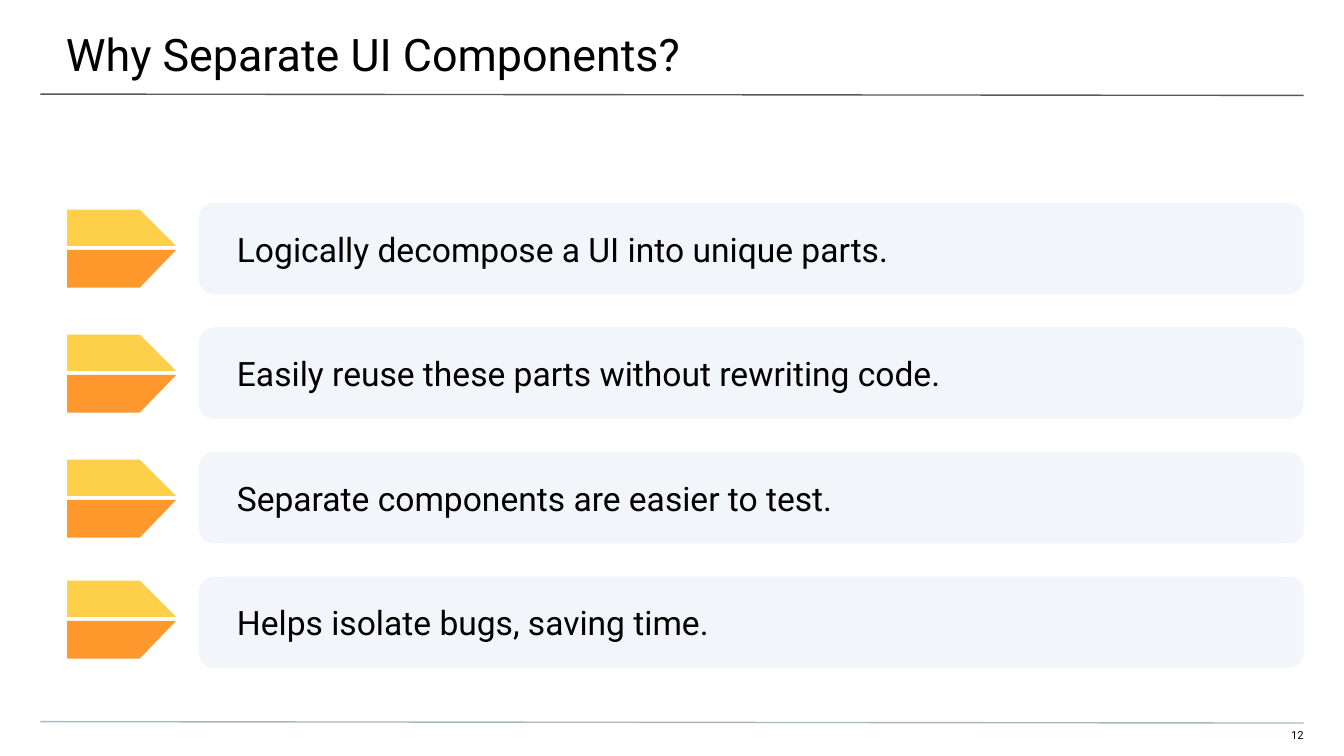
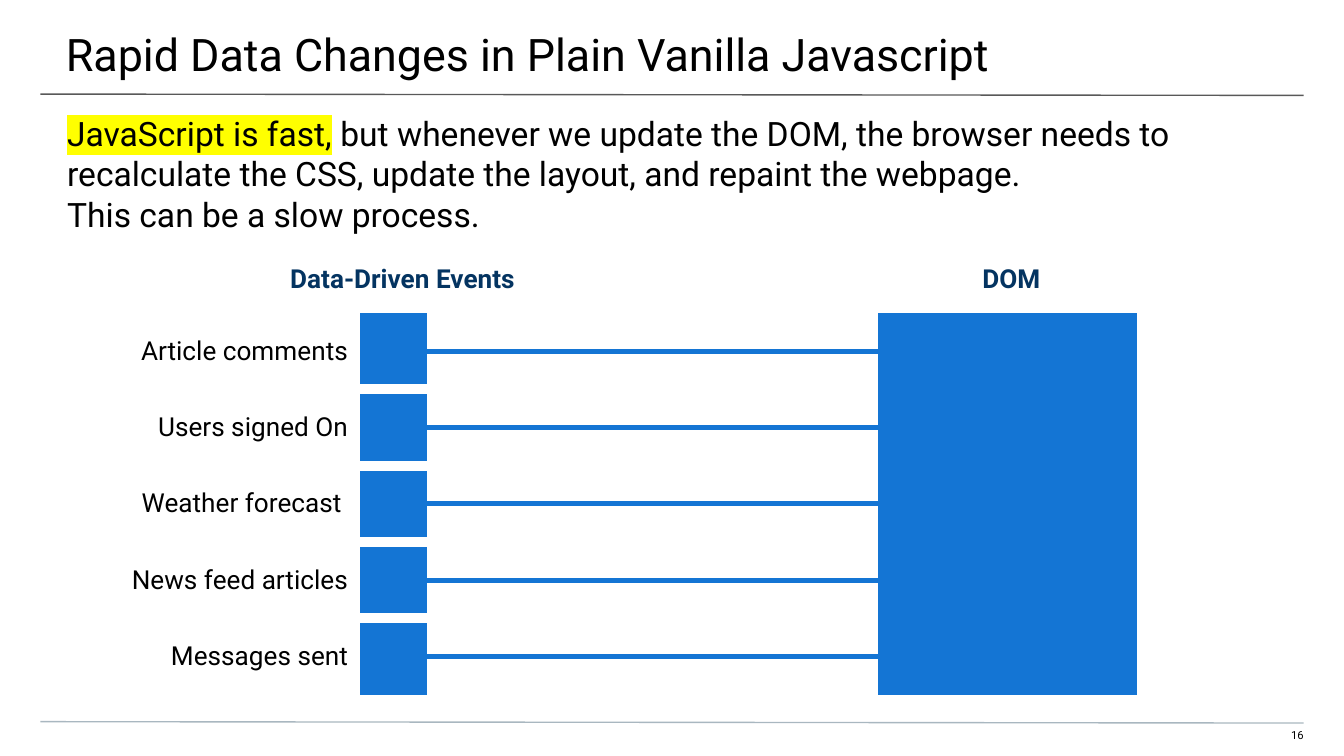
from dataclasses import dataclass

from lxml import etree
from pptx import Presentation
from pptx.dml.color import RGBColor
from pptx.enum.shapes import MSO_CONNECTOR, MSO_SHAPE
from pptx.enum.text import MSO_ANCHOR, MSO_AUTO_SIZE, PP_ALIGN
from pptx.oxml.ns import qn
from pptx.util import Inches, Pt

LEFT, CENTER, RIGHT = PP_ALIGN.LEFT, PP_ALIGN.CENTER, PP_ALIGN.RIGHT
TOP, MIDDLE = MSO_ANCHOR.TOP, MSO_ANCHOR.MIDDLE
TITLE_ONLY = 5
NO_GRID_STYLE = "{2D5ABB26-0587-4C30-8999-92F81FD0307C}"

# Content
REASONS_TITLE = "Why Separate UI Components?"
REASONS = [  # arrow top, text
    (1.56, "Logically decompose a UI into unique parts."),
    (2.49, "Easily reuse these parts without rewriting code."),
    (3.42, "Separate components are easier to test."),
    (4.32, "Helps isolate bugs, saving time."),
]
CHANGES_TITLE = "Rapid Data Changes in Plain Vanilla Javascript"
INTRO_KEY = "JavaScript is fast,"
INTRO_REST = (" but whenever we update the DOM, the browser needs to "
              "recalculate the CSS, update the layout, and repaint the webpage. ")
INTRO_END = "This can be a slow process."
HEADINGS = [("Data-Driven Events", 1.95, 2.09), ("DOM", 6.54, 1.97)]
EVENTS = ["Article comments", "Users signed On", "Weather forecast ",
          "News feed articles", "Messages sent"]


@dataclass(frozen=True)
class Theme:
    font: str = "Roboto"
    ink: str = "000000"
    paper: str = "FFFFFF"
    title_rule: str = "595959"
    footer_rule: str = "A9B7C0"
    arrow_top: str = "FECF48"
    arrow_bottom: str = "FF992D"
    bar: str = "F2F5F9"
    heading: str = "043461"
    diagram: str = "1475D4"
    highlight: str = "FFFF00"
    title_size: float = 24
    body_size: float = 18
    label_size: float = 14
    page_size: float = 6


THEME = Theme()


# Helpers
def add_run(paragraph, text, size, color=THEME.ink, bold=False):
    run = paragraph.add_run()
    run.text = text
    run.font.name = THEME.font
    run.font.size = Pt(size)
    run.font.bold = bold
    run.font.color.rgb = RGBColor.from_string(color)
    return run


def set_frame(shape, insets, anchor=TOP, align=LEFT):
    """Prepare the text frame and return its first paragraph."""
    frame = shape.text_frame
    frame.word_wrap = True
    frame.auto_size = MSO_AUTO_SIZE.NONE
    frame.vertical_anchor = anchor
    (frame.margin_left, frame.margin_top,
     frame.margin_right, frame.margin_bottom) = map(Inches, insets)
    frame.paragraphs[0].alignment = align
    return frame.paragraphs[0]


def add_text_box(slide, box, insets, align=LEFT):
    return set_frame(slide.shapes.add_textbox(*map(Inches, box)), insets, align=align)


def fill_plain(shape, color):
    shape.shadow.inherit = False
    shape.fill.solid()
    shape.fill.fore_color.rgb = RGBColor.from_string(color)
    shape.line.fill.background()


def add_rule(slide, y, color):
    rule = slide.shapes.add_connector(
        MSO_CONNECTOR.STRAIGHT, *map(Inches, (0.3, y, 9.7, y + 0.01)))
    rule.line.color.rgb = RGBColor.from_string(color)
    rule.line.width = Pt(0.75)
    etree.SubElement(rule._element.spPr, qn("a:effectLst"))


def add_base_slide(prs, title, page):
    slide = prs.slides.add_slide(prs.slide_layouts[TITLE_ONLY])
    add_rule(slide, 0.7, THEME.title_rule)
    add_rule(slide, 5.37, THEME.footer_rule)
    heading = slide.shapes.title
    heading.left, heading.top, heading.width, heading.height = map(
        Inches, (-0.01, 0, 10.03, 0.58))
    add_run(set_frame(heading, (0.5, 0.2, 0.3, 0.1)), title, THEME.title_size)
    number = add_text_box(slide, (9.41, 5.42, 0.29, 0.12), (0, 0, 0, 0.1), RIGHT)
    add_run(number, str(page), THEME.page_size)
    return slide


# Reasons slide
def add_half_arrow(slide, flat_y, point_y, color):
    corners = [(0.5, flat_y), (0.5, point_y), (1.31, point_y), (1.04, flat_y)]
    points = [(Inches(x), Inches(y)) for x, y in corners]
    outline = slide.shapes.build_freeform(*points[0], scale=1.0)
    outline.add_line_segments(points[1:], close=True)
    fill_plain(outline.convert_to_shape(), color)


def build_reasons(prs):
    slide = add_base_slide(prs, REASONS_TITLE, 12)
    first_top, last_top = 1.51, 4.29
    pitch = (last_top - first_top) / (len(REASONS) - 1)
    for row, (arrow_top, text) in enumerate(REASONS):
        add_half_arrow(slide, arrow_top, arrow_top + 0.27, THEME.arrow_top)
        add_half_arrow(slide, arrow_top + 0.58, arrow_top + 0.3, THEME.arrow_bottom)
        bar = slide.shapes.add_shape(
            MSO_SHAPE.ROUNDED_RECTANGLE,
            *map(Inches, (1.48, first_top + row * pitch, 8.22, 0.68)))
        fill_plain(bar, THEME.bar)
        reason = set_frame(bar, (0.25, 0.1, 0.1, 0.1), MIDDLE)
        add_run(reason, text, THEME.body_size)


# Data changes slide
def set_borders(cell, **drawn):
    """Draw the named edges, each a colour and a width in points; clear the rest."""
    properties = cell._tc.get_or_add_tcPr()
    for place, edge in enumerate(("lnL", "lnR", "lnT", "lnB")):
        line = etree.Element(qn(f"a:{edge}"))
        if edge in drawn:
            color, width = drawn[edge]
            line.set("w", str(Pt(width)))
            fill = etree.SubElement(line, qn("a:solidFill"))
            etree.SubElement(fill, qn("a:srgbClr"), val=color)
        else:
            etree.SubElement(line, qn("a:noFill"))
        properties.insert(place, line)


def fill_cell(cell, color):
    cell.fill.solid()
    cell.fill.fore_color.rgb = RGBColor.from_string(color)


def add_event_table(slide):
    widths, height = (1.93, 0.5, 3.35, 1.93), 2.84
    rows = 2 * len(EVENTS)
    table = slide.shapes.add_table(
        rows, len(widths), *map(Inches, (0.75, 2.33, sum(widths), height))).table
    table.first_row = table.horz_banding = False
    table._tbl.tblPr.find(qn("a:tableStyleId")).text = NO_GRID_STYLE
    for column, width in zip(table.columns, widths):
        column.width = Inches(width)
    for row in table.rows:
        row.height = Inches(height / rows)
    for cell in table.iter_cells():
        cell.fill.background()
        cell.margin_left = cell.margin_right = cell.margin_top = cell.margin_bottom = 0
        # Small type keeps empty cells from stretching their row
        etree.SubElement(cell.text_frame.paragraphs[0]._p, qn("a:endParaRPr"),
                         sz=str(THEME.page_size * 100))

    gap, wire = (THEME.paper, 6), (THEME.diagram, 3)
    for index, event in enumerate(EVENTS):
        upper, lower = 2 * index, 2 * index + 1
        label, block = table.cell(upper, 0), table.cell(upper, 1)
        for cell, column in ((label, 0), (block, 1)):
            cell.merge(table.cell(lower, column))
        label.vertical_anchor = MIDDLE
        label.margin_right = Inches(0.09)
        paragraph = label.text_frame.paragraphs[0]
        paragraph.alignment = RIGHT
        add_run(paragraph, event, THEME.label_size)
        fill_cell(block, THEME.diagram)
        edges = {}
        if index > 0:
            edges["lnT"] = gap
        if index < len(EVENTS) - 1:
            edges["lnB"] = gap
        set_borders(block, **edges)
        set_borders(table.cell(upper, 2), lnB=wire)
        set_borders(table.cell(lower, 2), lnT=wire)
    dom = table.cell(0, 3)
    dom.merge(table.cell(rows - 1, 3))
    fill_cell(dom, THEME.diagram)


def build_changes(prs):
    slide = add_base_slide(prs, CHANGES_TITLE, 16)
    intro = add_text_box(slide, (0, 0.74, 10, 0.4), (0.5, 0.1, 0.5, 0))
    key = add_run(intro, INTRO_KEY, THEME.body_size)
    marker = etree.Element(qn("a:highlight"))
    etree.SubElement(marker, qn("a:srgbClr"), val=THEME.highlight)
    key.font._element.find(qn("a:latin")).addprevious(marker)
    add_run(intro, INTRO_REST, THEME.body_size)
    intro.add_line_break()
    add_run(intro, INTRO_END, THEME.body_size)

    add_event_table(slide)
    for text, left, width in HEADINGS:
        heading = add_text_box(slide, (left, 1.85, width, 0.4), (0.1,) * 4, CENTER)
        add_run(heading, text, THEME.label_size, THEME.heading, bold=True)


def main():
    prs = Presentation()
    prs.slide_width = Inches(10)
    prs.slide_height = prs.slide_width * 9 // 16
    build_reasons(prs)
    build_changes(prs)
    prs.save("out.pptx")


if __name__ == "__main__":
    main()
